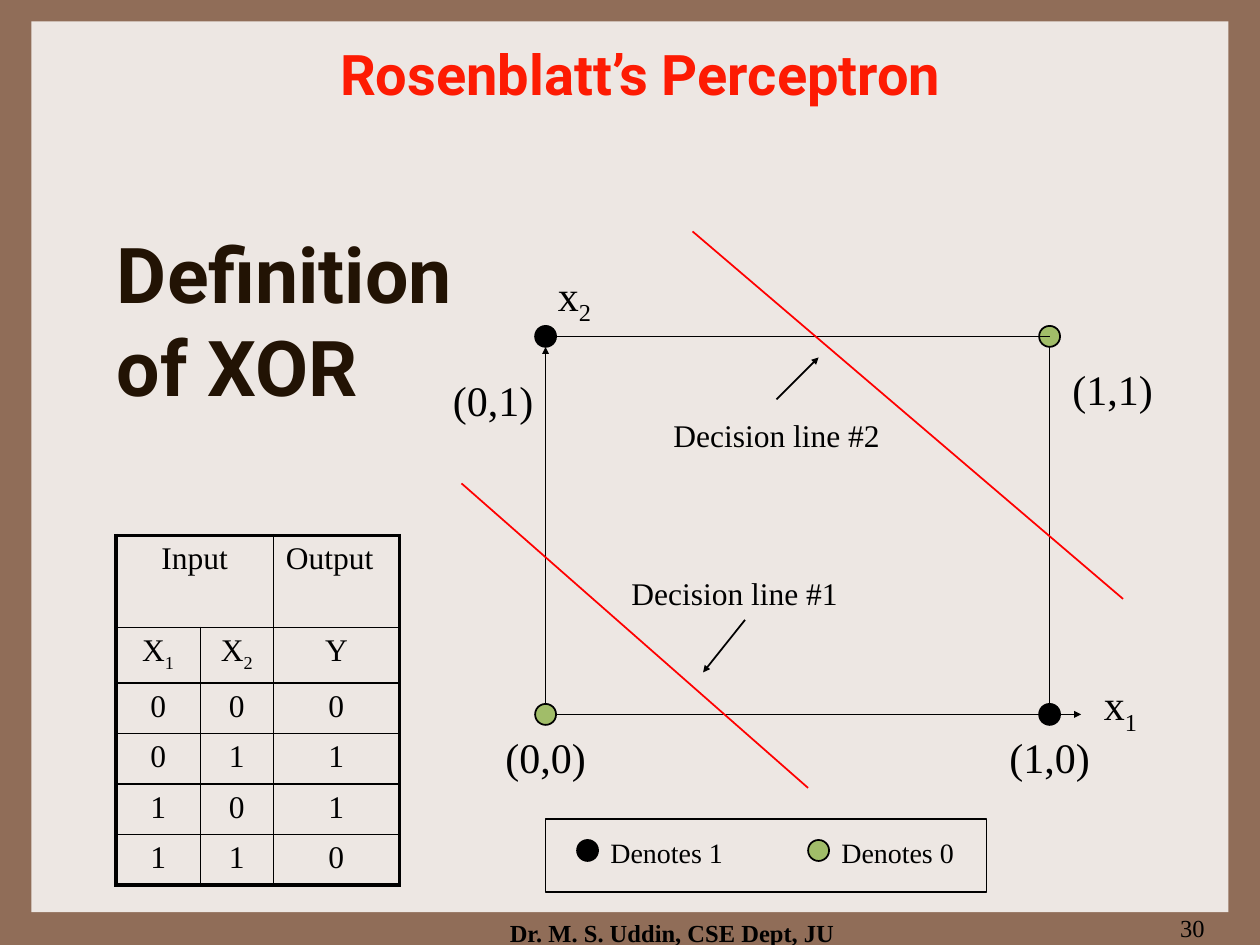
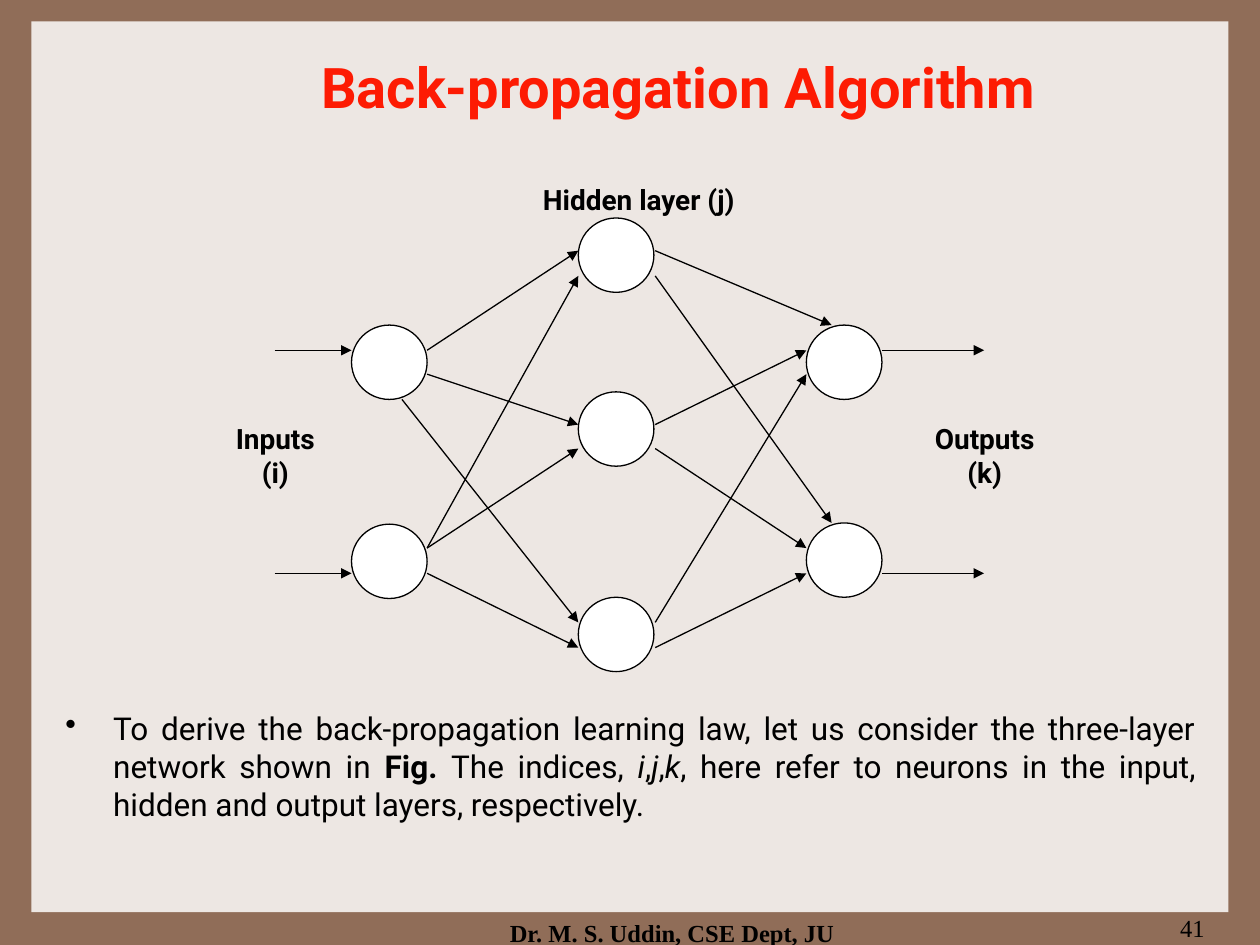
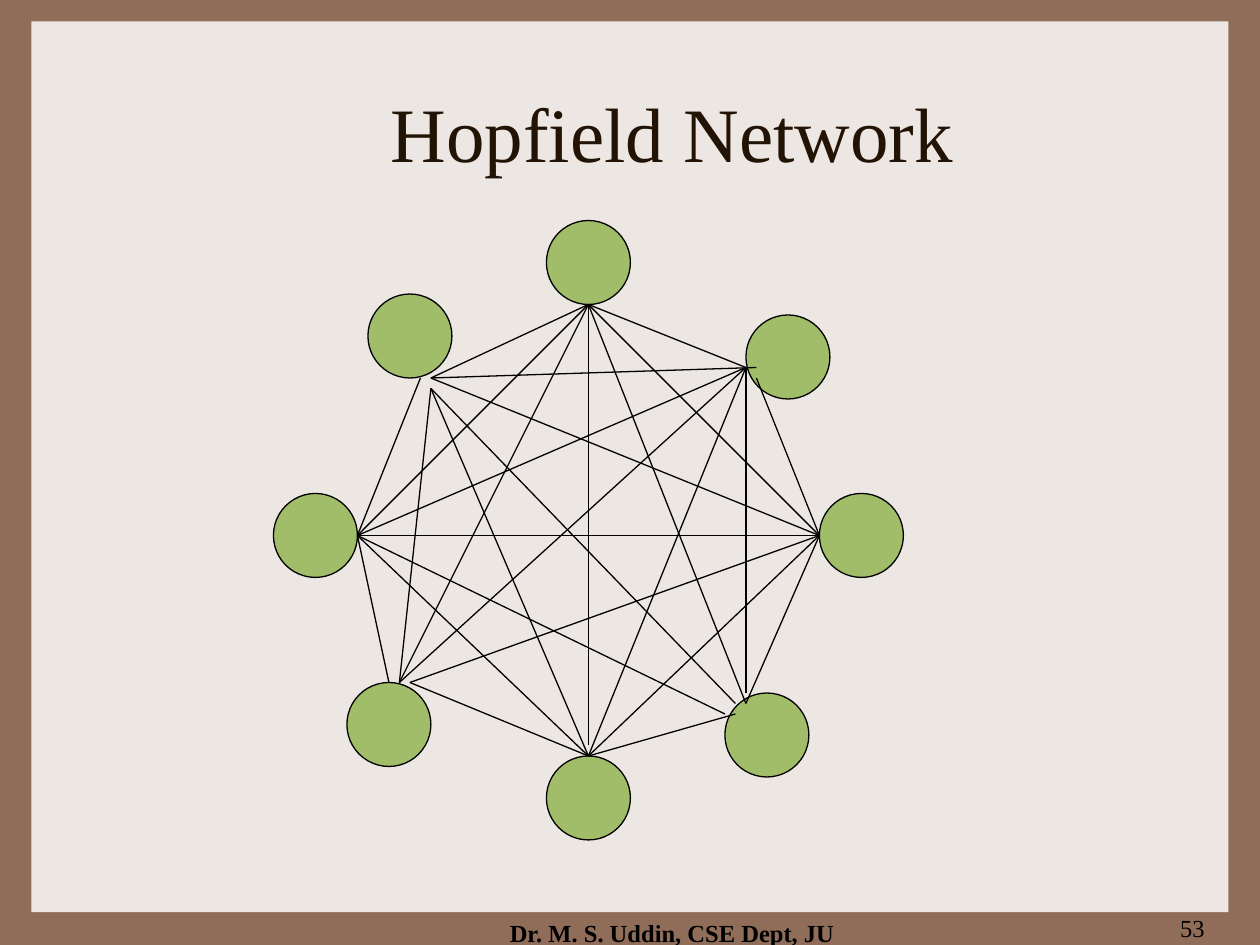
import lxml.etree
import pptx
import pptx.dml.color
import pptx.enum.shapes
import pptx.enum.text
import pptx.oxml.ns
import pptx.util

Inches = pptx.util.Inches
Pt = pptx.util.Pt
qn = pptx.oxml.ns.qn
ALIGN = pptx.enum.text.PP_ALIGN
ANCHOR = pptx.enum.text.MSO_ANCHOR
SHAPE = pptx.enum.shapes.MSO_SHAPE
STRAIGHT = pptx.enum.shapes.MSO_CONNECTOR.STRAIGHT

COLORS = {
    "frame": "906D58",
    "panel": "EDE7E3",
    "title": "FD1B03",
    "heading": "221304",
    "ink": "000000",
    "node": "A1BD69",
    "white": "FFFFFF",
    "decision": "FF0000",
}
SERIF = "Times New Roman"
SANS = "Roboto"
FOOTER = "Dr. M. S. Uddin, CSE Dept, JU"
GRID = 1 / 12
SUBSCRIPT = "-25000"


def color_of(name):
    return pptx.dml.color.RGBColor.from_string(COLORS[name])


def apply_format(target, values):
    for name, value in values.items():
        setattr(target, name, value)


def write_runs(paragraph, runs, size, font=SERIF, color="ink", bold=False, align=ALIGN.LEFT):
    paragraph.alignment = align
    for text, extra in runs:
        run = paragraph.add_run()
        run.text = text
        extra = dict(extra)
        baseline = extra.pop("baseline", None)
        apply_format(run.font, {"name": font, "size": Pt(size), "bold": bold, **extra})
        run.font.color.rgb = color_of(color)
        if baseline:
            run.font._element.set("baseline", baseline)


def plain(text):
    return [(text, {})]


def indexed(letter, index):
    return [(letter, {}), (index, {"baseline": SUBSCRIPT})]


def add_text(slide, box, lines, size, anchor=ANCHOR.TOP, **style):
    frame = slide.shapes.add_textbox(*map(Inches, box)).text_frame
    apply_format(frame, {"word_wrap": True, "vertical_anchor": anchor})
    for number, runs in enumerate(lines):
        paragraph = frame.add_paragraph() if number else frame.paragraphs[0]
        write_runs(paragraph, runs, size, **style)
    return frame


def add_shape(slide, kind, box, fill=None, width=None):
    shape = slide.shapes.add_shape(kind, *map(Inches, box))
    shape.shadow.inherit = False
    if fill:
        shape.fill.solid()
        shape.fill.fore_color.rgb = color_of(fill)
    else:
        shape.fill.background()
    if width:
        shape.line.color.rgb = color_of("ink")
        shape.line.width = Pt(width)
    else:
        shape.line.fill.background()


def add_line(slide, start, end, width, color="ink", head=None):
    connector = slide.shapes.add_connector(STRAIGHT, *map(Inches, (*start, *end)))
    connector.line.color.rgb = color_of(color)
    connector.line.width = Pt(width)
    properties = connector._element.spPr
    if head:
        outline = properties.find(qn("a:ln"))
        lxml.etree.SubElement(outline, qn("a:tailEnd"), type="triangle", w=head, len=head)
    lxml.etree.SubElement(properties, qn("a:effectLst"))


def add_base(presentation, number):
    slide = presentation.slides.add_slide(presentation.slide_layouts[6])
    slide.background.fill.solid()
    slide.background.fill.fore_color.rgb = color_of("frame")
    add_shape(slide, SHAPE.RECTANGLE, (0.25, 0.17, 9.5, 7.07), "panel")
    add_text(slide, (3.75, 7.24, 3.17, 0.26), [plain(FOOTER)], 14, bold=True, align=ALIGN.CENTER)
    add_text(slide, (7.58, 7.2, 2.08, 0.5), [plain(number)], 14, align=ALIGN.RIGHT)
    return slide


def add_title(slide, box, text, size=32, font=SANS, color="title", bold=True):
    add_text(slide, box, [plain(text)], size, ANCHOR.MIDDLE,
             font=font, color=color, bold=bold, align=ALIGN.CENTER)


def set_borders(cell, widths):
    properties = cell._tc.get_or_add_tcPr()
    for side in "LRTB":
        border = lxml.etree.SubElement(properties, qn("a:ln" + side), w=str(Pt(widths[side])))
        fill = lxml.etree.SubElement(border, qn("a:solidFill"))
        lxml.etree.SubElement(fill, qn("a:srgbClr"), val=COLORS["ink"])


def add_truth_table(slide, box):
    columns = [0.67, 0.58, 1]
    heights = [0.73, 0.42, 0.4, 0.4, 0.4, 0.4]
    rows = [
        [plain("Input"), None, plain("Output")],
        [indexed("X", "1"), indexed("X", "2"), plain("Y")],
    ]
    for first in (0, 1):
        for second in (0, 1):
            rows.append([plain(str(value)) for value in (first, second, first ^ second)])
    table = slide.shapes.add_table(len(rows), len(columns), *map(Inches, box)).table
    apply_format(table, {"first_row": False, "horz_banding": False})
    for column, width in zip(table.columns, columns):
        column.width = Inches(width)
    for row, height in zip(table.rows, heights):
        row.height = Inches(height)
    last_row, last_column = len(rows) - 1, len(columns) - 1
    for y, row in enumerate(rows):
        for x, runs in enumerate(row):
            cell = table.cell(y, x)
            outer = {"L": x == 0, "R": x == last_column, "T": y == 0, "B": y == last_row}
            set_borders(cell, {side: 2.25 if edge else 1 for side, edge in outer.items()})
            cell.fill.background()
            if runs:
                align = ALIGN.LEFT if (y, x) == (0, 2) else ALIGN.CENTER
                write_runs(cell.text_frame.paragraphs[0], runs, 18, align=align)
    table.cell(0, 0).merge(table.cell(0, 1))


def add_xor_plot(slide, left, top):
    def at(x, y):
        return left + x * GRID, top + y * GRID

    def draw(start, end, **style):
        add_line(slide, at(*start), at(*end), 1, **style)

    right, bottom = 48, 36
    draw((0, bottom), (0, 1), head="sm")
    draw((0, bottom), (51, bottom), head="sm")
    draw((right, bottom), (right, 0))
    for x, y, fill in [(0, 0, "ink"), (right, bottom, "ink"), (right, 0, "node"), (0, bottom, "node")]:
        add_shape(slide, SHAPE.OVAL, (*at(x - 1, y - 1), 2 * GRID, 2 * GRID), fill, 1)
    draw((0, 0), (right, 0))
    for start, end in [((14, -10), (55, 25)), ((-8, 14), (25, 43))]:
        draw(start, end, color="decision")
    for start, end in [((22, 6), (26, 2)), ((19, 27), (15, 32))]:
        draw(start, end, head="sm")
    labels = [
        (11, 7, 24, plain("Decision line #2"), 18),
        (7, 22, 24, plain("Decision line #1"), 18),
        (-10, 3, 12, plain("(0,1)"), 24),
        (-5, 37, 12, plain("(0,0)"), 24),
        (49, 2, 12, plain("(1,1)"), 24),
        (43, 37, 12, plain("(1,0)"), 24),
        (0, -7, 6, indexed("x", "2"), 24),
        (52, 32, 7, indexed("x", "1"), 24),
    ]
    for x, y, width, runs, size in labels:
        add_text(slide, (*at(x, y), width * GRID, 0.5), [runs], size)


def add_legend(slide, left, top):
    add_shape(slide, SHAPE.RECTANGLE, (left, top, 3.5, 0.58), width=1)
    for number, (text, fill) in enumerate([("Denotes 1", "ink"), ("Denotes 0", "node")]):
        x = left + (3 + 22 * number) * GRID
        dot = (x, top + 2 * GRID, 2 * GRID, 2 * GRID)
        add_shape(slide, SHAPE.OVAL, dot, fill, 1)
        add_text(slide, (x + 2 * GRID, top + GRID, 1.17, 0.37), [plain(text)], 16)


def add_layered_network(slide, left, top):
    input_x, hidden_x, output_x = 0.61, 2.41, 4.22
    input_exit, hidden_exit, output_exit = 1.21, 3.02, 4.82
    layers = {
        input_x: [0.85, 2.43],
        hidden_x: [0, 1.38, 3.01],
        output_x: [0.85, 2.42],
    }
    links = [
        (input_exit, 1.05, hidden_x, 0.26),
        (input_exit, 1.24, hidden_x, 1.64),
        (1.01, 1.44, hidden_x, 3.21),
        (input_exit, 2.62, hidden_x, 0.46),
        (input_exit, 2.62, hidden_x, 1.83),
        (input_exit, 2.82, hidden_x, 3.41),
        (hidden_exit, 0.26, 4.42, 0.85),
        (hidden_exit, 0.46, 4.42, 2.42),
        (hidden_exit, 1.64, output_x, 1.05),
        (hidden_exit, 1.83, output_x, 2.62),
        (hidden_exit, 3.21, output_x, 1.24),
        (hidden_exit, 3.41, output_x, 2.82),
    ]
    for y in (1.05, 2.82):
        links += [(0, y, input_x, y), (output_exit, y, 5.63, y)]
    for x, tops in layers.items():
        for y in tops:
            add_shape(slide, SHAPE.OVAL, (left + x, top + y, 0.6, 0.59), "white", 0.75)
    for x1, y1, x2, y2 in links:
        add_line(slide, (left + x1, top + y1), (left + x2, top + y2), 0.75, head="med")
    labels = [
        (-0.6, 1.57, 1.21, ["Inputs", "(i)"]),
        (5.03, 1.57, 1.21, ["Outputs (k)"]),
        (1.82, -0.33, 2.14, ["Hidden layer (j)"]),
    ]
    for x, y, width, lines in labels:
        add_text(slide, (left + x, top + y, width, 0.39), map(plain, lines), 16,
                 font=SANS, bold=True, align=ALIGN.CENTER)


def add_bullet(slide, box, runs):
    frame = add_text(slide, box, [[]], 18)
    paragraph = frame.paragraphs[0]
    properties = paragraph._p.get_or_add_pPr()
    indent = Inches(0.38)
    properties.set("marL", str(indent))
    properties.set("indent", str(-indent))
    lxml.etree.SubElement(properties, qn("a:buChar"), char="•")
    write_runs(paragraph, runs, 18, font=SANS, align=ALIGN.JUSTIFY)


def add_hopfield_network(slide, left, top):
    def at(x, y):
        return left + x * GRID, top + y * GRID

    neurons = [(26, 0), (52, 26), (26, 51), (0, 26), (45, 9), (43, 45), (9, 7), (7, 44)]
    west, east, north, south, northeast = (8, 30), (52, 30), (30, 8), (30, 51), (45, 14)
    links = [
        (west, [east, northeast, north, (14, 15), (43, 47), south, (11, 44)]),
        (east, [(15, 15), north, (46, 15), (13, 44), south, (45, 46)]),
        ((15, 15), [north, (46, 14)]),
        ((15, 16), [(44, 46), south, (12, 44)]),
        (north, [(12, 44), (30, 50), (45, 46), northeast]),
        (northeast, [(12, 44), south, (45, 45)]),
        (south, [(44, 47), (13, 44)]),
    ]
    for neuron in neurons:
        add_shape(slide, SHAPE.OVAL, (*at(*neuron), 8 * GRID, 8 * GRID), "node", 0.75)
    for start, ends in links:
        for end in ends:
            add_line(slide, at(*start), at(*end), 0.75)


def build_perceptron_slide(presentation):
    slide = add_base(presentation, "30")
    add_truth_table(slide, (0.92, 4.25, 2.25, 2.75))
    add_xor_plot(slide, 4.33, 2.67)
    add_legend(slide, 4.33, 6.5)
    add_text(slide, (0.83, 1.75, 3.42, 1.57), [plain("Definition of XOR")], 44,
             font=SANS, color="heading", bold=True)
    add_title(slide, (0.67, 0.33, 8.83, 0.5), "Rosenblatt’s Perceptron")


def build_propagation_slide(presentation):
    slide = add_base(presentation, "41")
    add_title(slide, (1.22, 0.27, 8.33, 0.83), "Back-propagation Algorithm")
    italic = {"italic": True}
    add_bullet(slide, (0.42, 5.58, 9.17, 1.25), [
        ("To derive the back-propagation learning law, let us consider "
         "the three-layer network shown in ", {}),
        ("Fig. ", {"bold": True}),
        ("The indices, ", {}),
        ("i", italic), (",", {}), ("j", italic), (",", {}), ("k", italic),
        (", here refer to neurons in the input, hidden and output layers, respectively.", {}),
    ])
    add_layered_network(slide, 2.18, 1.73)


def build_hopfield_slide(presentation):
    slide = add_base(presentation, "53")
    add_title(slide, (1.17, 0.42, 8.33, 1.25), "Hopfield Network",
              size=44, font=SERIF, color="heading", bold=False)
    add_hopfield_network(slide, 2.17, 1.75)


def main():
    presentation = pptx.Presentation()
    apply_format(presentation, {"slide_width": Inches(10), "slide_height": Inches(7.5)})
    build_perceptron_slide(presentation)
    build_propagation_slide(presentation)
    build_hopfield_slide(presentation)
    presentation.save("out.pptx")


if __name__ == "__main__":
    main()
